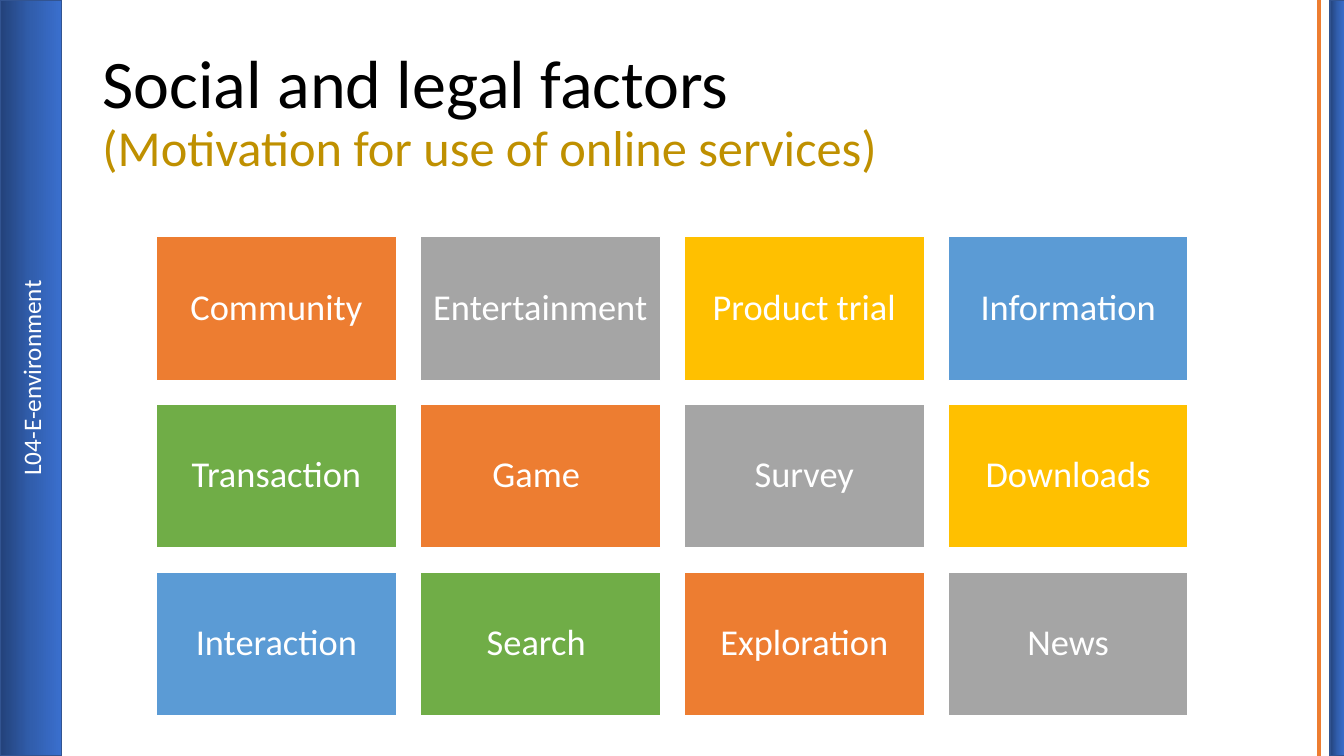
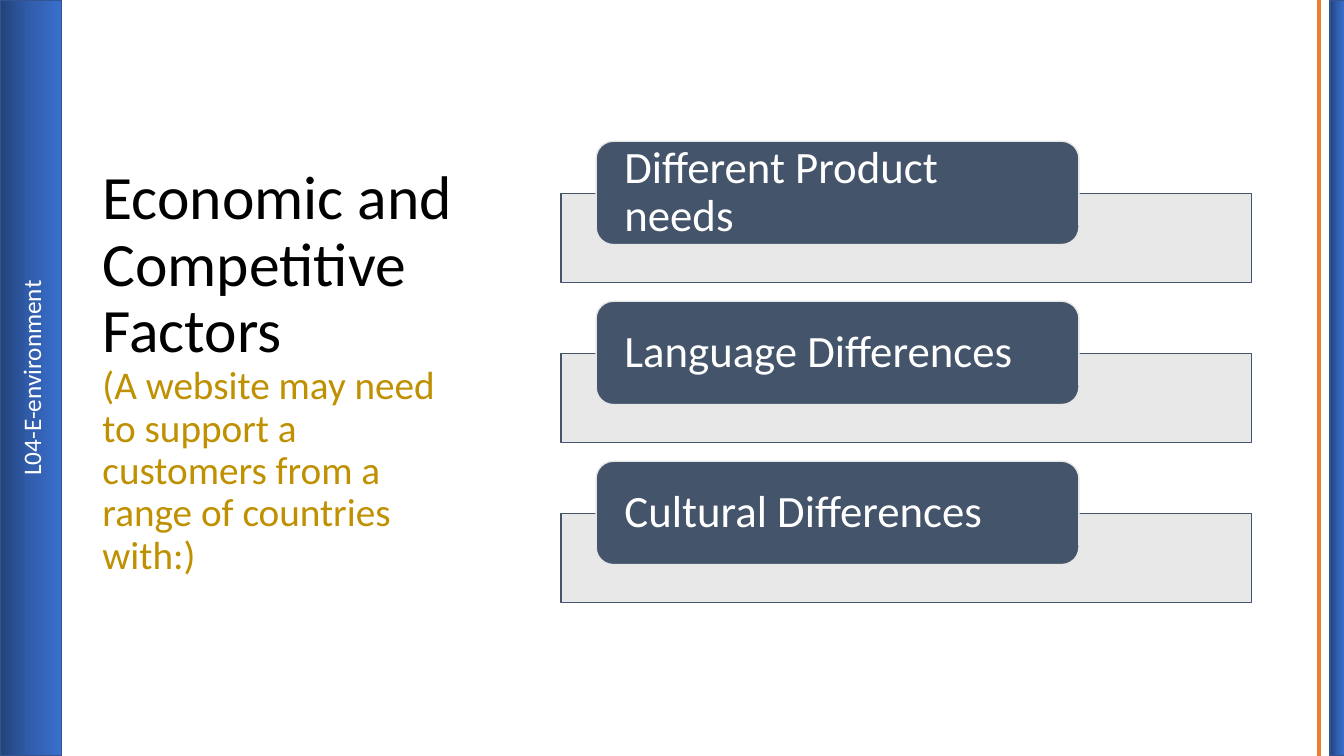
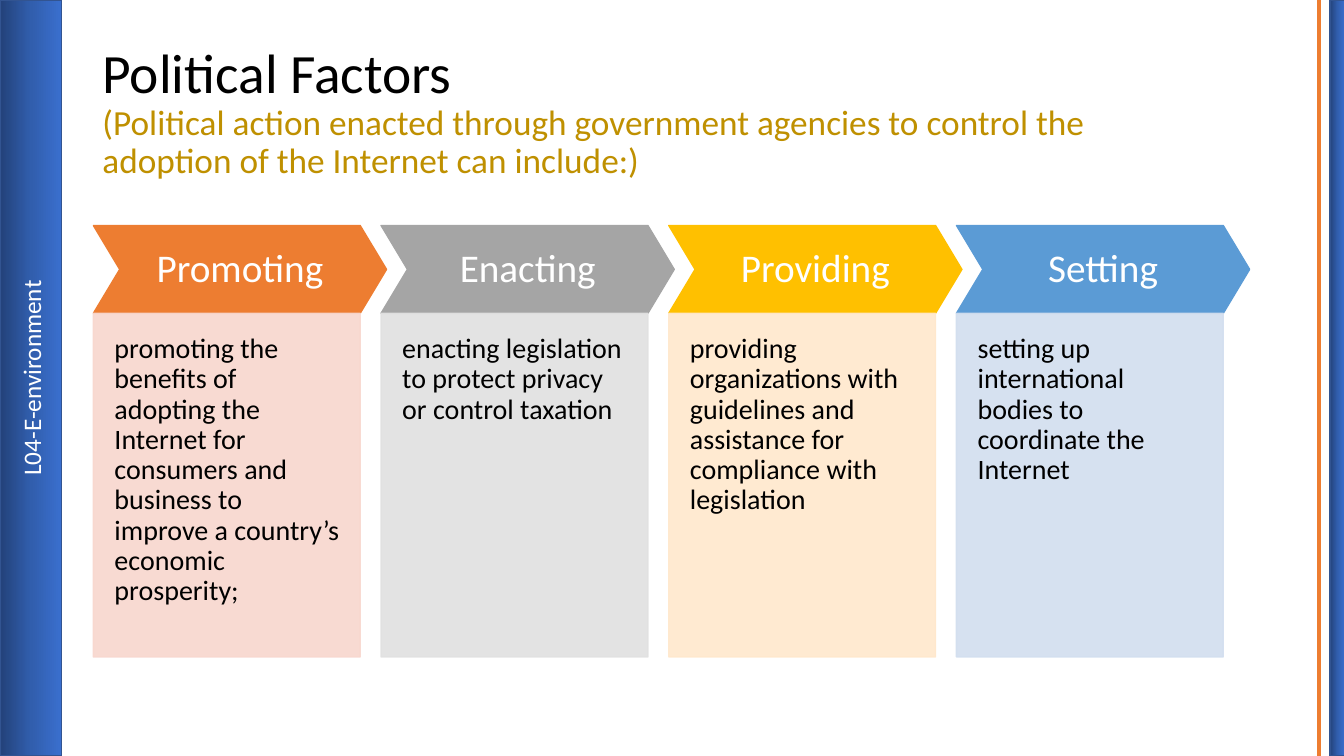
from copy import deepcopy

from lxml.etree import SubElement
from pptx import Presentation
from pptx.dml.color import RGBColor
from pptx.enum.shapes import MSO_CONNECTOR, MSO_SHAPE
from pptx.enum.text import MSO_ANCHOR, MSO_AUTO_SIZE, PP_ALIGN
from pptx.oxml.ns import qn
from pptx.util import Pt

SLIDE_WIDTH, SLIDE_HEIGHT = 960, 540
FONT = "Calibri"
BLACK, WHITE, GOLD = "000000", "FFFFFF", "BF9000"
ORANGE, GREY, YELLOW, BLUE, GREEN = "ED7D31", "A5A5A5", "FFC000", "5B9BD5", "70AD47"
SLATE, PALE = "44546A", "E7E6E6"
BAND_LINE = "325491"
BAND_STOPS = [(0, "23427A"), (50, "315EAD"), (100, "3A6FCE")]
WIDE_TITLE = (66, 28.8, 828, 104.4)
SIDE_TITLE = (66, 49, 265.7, 433.4)

MOTIVATIONS = [
    "Community", "Entertainment", "Product trial", "Information",
    "Transaction", "Game ", "Survey", "Downloads",
    "Interaction", "Search ", "Exploration", "News",
]
DIFFERENCES = ["Different Product needs", "Language Differences", "Cultural Differences"]
ACTIONS = [
    ("Promoting", ORANGE, "F8D7CE",
     "promoting the benefits of adopting the Internet for consumers and business "
     "to improve a country’s economic prosperity;"),
    ("Enacting", GREY, "E1E1E1",
     "enacting legislation to protect privacy or control taxation"),
    ("Providing", YELLOW, "FFE8CC",
     "providing organizations with guidelines and assistance for compliance with legislation"),
    ("Setting", BLUE, "D2DEEF",
     "setting up international bodies to coordinate the Internet"),
]


def paint(color_format, color):
    color_format.rgb = RGBColor.from_string(color)


def paint_fill(fill, color, opacity=100):
    fill.solid()
    paint(fill.fore_color, color)
    if opacity < 100:
        color_element = fill._xPr.find(qn("a:solidFill"))[0]
        SubElement(color_element, qn("a:alpha"), val=str(opacity * 1000))


def format_run(run, size, color):
    run.font.name = FONT
    run.font.size = Pt(size)
    paint(run.font.color, color)


def add_box(slide, kind, bounds, fill, line, opacity=100, line_opacity=100):
    shape = slide.shapes.add_shape(kind, *map(Pt, bounds))
    shape.shadow.inherit = False
    paint_fill(shape.fill, fill, opacity)
    paint_fill(shape.line.fill, line, line_opacity)
    shape.line.width = Pt(1)
    return shape


def write(shape, text, size, color=WHITE, align=PP_ALIGN.CENTER,
          anchor=MSO_ANCHOR.MIDDLE, insets=(7.2, 7.2, 7.2, 7.2), spacing=0.9):
    frame = shape.text_frame
    frame.text = text
    frame.word_wrap = True
    frame.vertical_anchor = anchor
    frame.margin_left, frame.margin_top, frame.margin_right, frame.margin_bottom = map(Pt, insets)
    paragraph = frame.paragraphs[0]
    paragraph.alignment = align
    paragraph.line_spacing = spacing
    format_run(paragraph.runs[0], size, color)


def add_band(slide, center, thickness):
    bounds = (center - SLIDE_HEIGHT / 2, (SLIDE_HEIGHT - thickness) / 2, SLIDE_HEIGHT, thickness)
    band = add_box(slide, MSO_SHAPE.RECTANGLE, bounds, BLUE, BAND_LINE)
    band.rotation = 270
    band.fill.gradient()
    gradient = band.fill._xPr.find(qn("a:gradFill"))
    stops = gradient.find(qn("a:gsLst"))
    for stop in list(stops):
        stops.remove(stop)
    for position, color in BAND_STOPS:
        stop = SubElement(stops, qn("a:gs"), pos=str(position * 1000))
        SubElement(stop, qn("a:srgbClr"), val=color)
    gradient.find(qn("a:lin")).set("ang", "5400000")
    return band


def add_frame(slide):
    rule = slide.shapes.add_connector(
        MSO_CONNECTOR.STRAIGHT, Pt(942.2), Pt(0), Pt(942.2), Pt(SLIDE_HEIGHT))
    paint(rule.line.color, ORANGE)
    rule.line.width = Pt(3)
    SubElement(rule._element.spPr, qn("a:effectLst"))
    add_band(slide, 955.4, 10.8)
    write(add_band(slide, 22.2, 44), "L04-E-environment", 18, spacing=1.0)


def format_title(title, bounds, heading, heading_size, subtitle, subtitle_size):
    title.left, title.top, title.width, title.height = map(Pt, bounds)
    frame = title.text_frame
    frame.text = f"{heading}\v{subtitle}"
    frame.word_wrap = True
    frame.auto_size = MSO_AUTO_SIZE.NONE
    frame.vertical_anchor = MSO_ANCHOR.MIDDLE
    paragraph = frame.paragraphs[0]
    paragraph.alignment = PP_ALIGN.LEFT
    paragraph.line_spacing = 0.9
    heading_run, *subtitle_runs = paragraph.runs
    format_run(heading_run, heading_size, BLACK)
    for run in subtitle_runs:
        format_run(run, subtitle_size, GOLD)
    for line_break in paragraph._p.findall(qn("a:br")):
        line_break.append(deepcopy(line_break.getprevious().find(qn("a:rPr"))))


def add_titled_slide(presentation, *title_details):
    slide = presentation.slides.add_slide(presentation.slide_layouts[5])
    add_frame(slide)
    format_title(slide.shapes.title, *title_details)
    return slide


def add_tiles(slide):
    width, height, gap, columns = 171.4, 102.8, 17.1, 4
    colors = [ORANGE, GREY, YELLOW, BLUE, GREEN]
    for index, text in enumerate(MOTIVATIONS):
        row, column = divmod(index, columns)
        bounds = (111.8 + column * (width + gap), 168.8 + row * (height + gap), width, height)
        tile = add_box(slide, MSO_SHAPE.RECTANGLE, bounds, colors[index % len(colors)], WHITE)
        write(tile, text, 26)


def add_differences(slide):
    for index, text in enumerate(DIFFERENCES):
        top = 100.9 + index * 114.3
        add_box(slide, MSO_SHAPE.RECTANGLE, (400.8, top + 37.2, 493.4, 63.6), PALE, SLATE, 90)
        label = add_box(slide, MSO_SHAPE.ROUNDED_RECTANGLE, (425.8, top, 344.9, 73.8), SLATE, PALE)
        write(label, text, 32, align=PP_ALIGN.LEFT, insets=(16.6, 0, 12, 0))


def add_actions(slide):
    for index, (name, color, tint, details) in enumerate(ACTIONS):
        left = 66.7 + index * 205.5
        chevron = add_box(slide, MSO_SHAPE.CHEVRON, (left, 161.1, 209.4, 62.7), color, color)
        chevron.adjustments[0] = 0.3
        write(chevron, name, 28, insets=(0, 0, 0, 0))
        panel = add_box(slide, MSO_SHAPE.RECTANGLE, (left, 223.8, 190.6, 245.5), tint, tint, 90, 90)
        write(panel, details, 20, BLACK, PP_ALIGN.LEFT, MSO_ANCHOR.TOP, (15.1, 15.1, 13.5, 30))


def main():
    presentation = Presentation()
    presentation.slide_width = Pt(SLIDE_WIDTH)
    presentation.slide_height = Pt(SLIDE_HEIGHT)
    add_tiles(add_titled_slide(
        presentation, WIDE_TITLE, "Social and legal factors ", 48.6,
        "(Motivation for use of online services)", 36))
    add_differences(add_titled_slide(
        presentation, SIDE_TITLE, "Economic and Competitive Factors", 44,
        "(A website may need to support a customers from a range of countries with:)", 28))
    add_actions(add_titled_slide(
        presentation, WIDE_TITLE, "Political Factors", 39.6,
        "(Political action enacted through government agencies to control the \v"
        "adoption of the Internet can include:)", 25.2))
    presentation.save("out.pptx")


if __name__ == "__main__":
    main()
